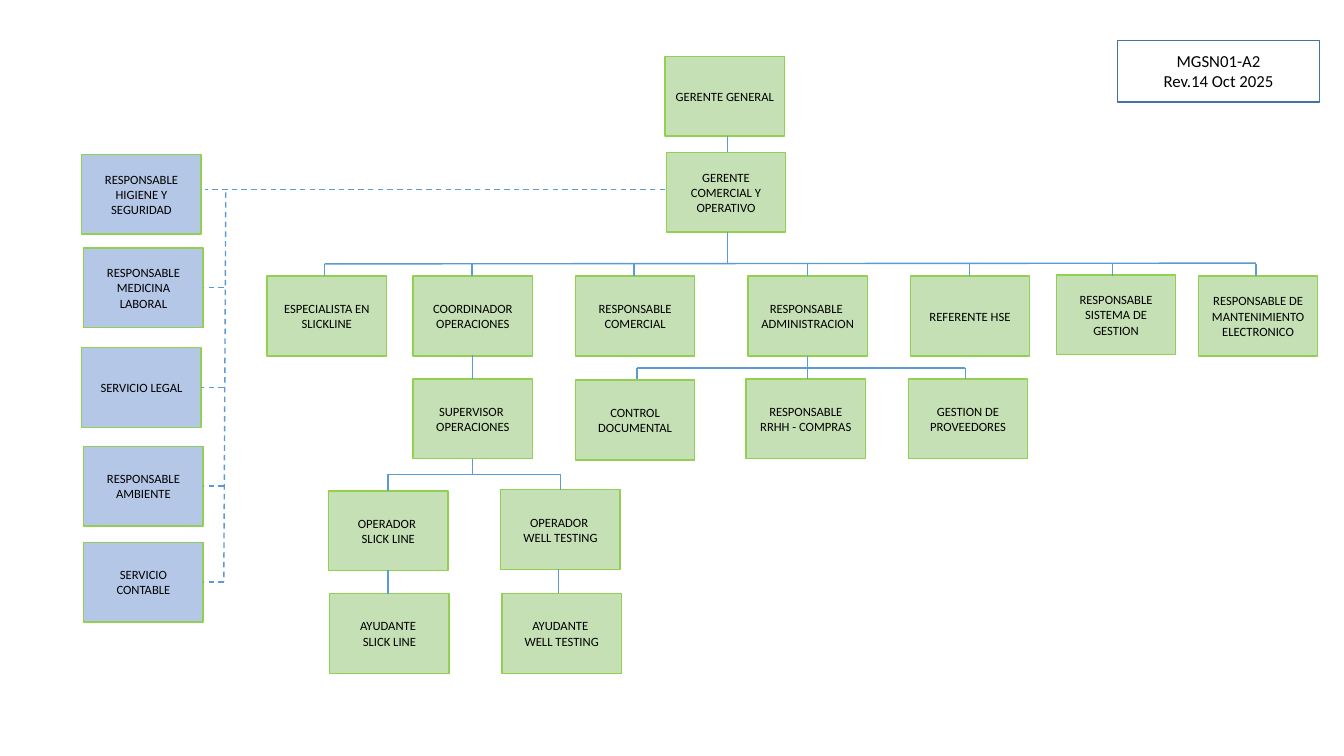
"""Build the organisation chart slide with its advisory services and revision box."""
from dataclasses import dataclass

from pptx import Presentation
from pptx.dml.color import RGBColor
from pptx.enum.dml import MSO_LINE
from pptx.enum.shapes import MSO_CONNECTOR, MSO_SHAPE
from pptx.enum.text import MSO_ANCHOR, PP_ALIGN
from pptx.oxml.ns import qn
from pptx.shapes.connector import Connector
from pptx.slide import Slide
from pptx.util import Cm, Pt
from lxml.etree import SubElement

STAFF_FILL, SERVICE_FILL = "C5E0B4", "B4C7E7"
ROLE_BORDER, REVISION_BORDER, LINK_COLOR = "92D050", "43739E", "5B9BD5"
ROLE_WIDTH, ROLE_HEIGHT = 3.01, 2.01
SERVICE_TRUNK_X = 5.64
MANAGER_BUS_Y, ADMIN_BUS_Y = 6.64, 9.27


@dataclass
class Box:
    text: str
    left: float
    top: float
    fill: str | None = STAFF_FILL
    border: str = ROLE_BORDER
    width: float = ROLE_WIDTH
    height: float = ROLE_HEIGHT
    size: int = 9


@dataclass
class Link:
    x1: float
    y1: float
    x2: float
    y2: float
    dashed: bool = False


REVISION = Box("MGSN01-A2\nRev.14 Oct 2025", 28.17, 1.02, None, REVISION_BORDER, 5.08, 1.55, 12)

STAFF = [
    Box("GERENTE GENERAL", 16.76, 1.42),
    Box("GERENTE COMERCIAL Y OPERATIVO", 16.79, 3.84),
    Box("ESPECIALISTA EN SLICKLINE", 6.73, 6.96),
    Box("COORDINADOR OPERACIONES", 10.41, 6.96),
    Box("RESPONSABLE COMERCIAL", 14.5, 6.96),
    Box("RESPONSABLE \nADMINISTRACION", 18.85, 6.96),
    Box("REFERENTE HSE", 22.94, 6.96),
    Box("RESPONSABLE SISTEMA DE GESTION", 26.62, 6.93),
    Box("RESPONSABLE DE MANTENIMIENTO ELECTRONICO", 30.2, 6.96),
    Box("SUPERVISOR \nOPERACIONES", 10.41, 9.55),
    Box("CONTROL DOCUMENTAL", 14.5, 9.58),
    Box("RESPONSABLE RRHH - COMPRAS", 18.8, 9.55),
    Box("GESTION DE PROVEEDORES", 22.89, 9.55),
    Box("OPERADOR \nSLICK LINE", 8.28, 12.37),
    Box("OPERADOR \nWELL TESTING", 12.62, 12.34),
    Box("AYUDANTE \nSLICK LINE", 8.31, 14.96),
    Box("AYUDANTE \nWELL TESTING", 12.65, 14.96),
]

HYGIENE = Box("RESPONSABLE HIGIENE Y SEGURIDAD", 2.06, 3.89, SERVICE_FILL)
BRANCH_SERVICES = [
    Box("RESPONSABLE MEDICINA LABORAL", 2.11, 6.25, SERVICE_FILL),
    Box("SERVICIO LEGAL", 2.06, 8.76, SERVICE_FILL),
    Box("RESPONSABLE AMBIENTE", 2.11, 11.25, SERVICE_FILL),
    Box("SERVICIO CONTABLE", 2.11, 13.67, SERVICE_FILL),
]

MANAGER_DROPS = [8.18, 11.89, 15.98, 20.35, 24.43, 28.04, 31.65]
ADMIN_DROPS = [16.05, 24.33]

LINKS = [
    Link(18.34, 3.43, 18.34, 3.82),
    Link(18.34, 5.84, 18.34, MANAGER_BUS_Y),
    Link(MANAGER_DROPS[-1], 6.63, MANAGER_DROPS[0], 6.65),
    *(Link(x, MANAGER_BUS_Y, x, 6.95) for x in MANAGER_DROPS),
    Link(20.35, 8.97, 20.35, 9.55),
    Link(ADMIN_DROPS[-1], ADMIN_BUS_Y, ADMIN_DROPS[0], ADMIN_BUS_Y),
    *(Link(x, ADMIN_BUS_Y, x, 9.56) for x in ADMIN_DROPS),
    Link(11.91, 8.95, 11.91, 9.56),
    Link(9.78, 14.37, 9.78, 14.96),
    Link(14.07, 14.34, 14.07, 14.95),
    Link(16.76, 4.78, 5.16, 4.78, True),
    Link(5.69, 4.85, SERVICE_TRUNK_X, 14.66, True),
    *(
        Link(SERVICE_TRUNK_X, service.top + 1, service.left + ROLE_WIDTH, service.top + 1, True)
        for service in BRANCH_SERVICES
    ),
]

OPERATOR_LINKS = [Link(11.91, 11.56, 14.12, 12.34), Link(11.91, 11.56, 9.78, 12.37)]


def color(value: str) -> RGBColor:
    """Turn a hex string into a colour."""
    return RGBColor.from_string(value)


def draw_box(slide: Slide, box: Box) -> None:
    """Draw one bordered rectangle with centred text."""
    rectangle = slide.shapes.add_shape(
        MSO_SHAPE.RECTANGLE, Cm(box.left), Cm(box.top), Cm(box.width), Cm(box.height)
    )
    rectangle.shadow.inherit = False
    if box.fill:
        rectangle.fill.solid()
        rectangle.fill.fore_color.rgb = color(box.fill)
    else:
        rectangle.fill.background()
    rectangle.line.color.rgb = color(box.border)
    rectangle.line.width = Pt(1)
    frame = rectangle.text_frame
    frame.word_wrap = True
    frame.vertical_anchor = MSO_ANCHOR.MIDDLE
    frame.text = box.text
    for paragraph in frame.paragraphs:
        paragraph.alignment = PP_ALIGN.CENTER
        paragraph.font.name = "Calibri"
        paragraph.font.size = Pt(box.size)
        paragraph.font.color.rgb = color("000000")


def draw_link(slide: Slide, link: Link, kind: MSO_CONNECTOR = MSO_CONNECTOR.STRAIGHT) -> Connector:
    """Draw one connector without a shadow."""
    connector = slide.shapes.add_connector(
        kind, Cm(link.x1), Cm(link.y1), Cm(link.x2), Cm(link.y2)
    )
    connector.line.color.rgb = color(LINK_COLOR)
    connector.line.width = Pt(1)
    if link.dashed:
        connector.line.dash_style = MSO_LINE.DASH
    SubElement(connector.element.spPr, qn("a:effectLst"))
    return connector


def draw_downward_elbow(slide: Slide, link: Link) -> None:
    """Draw an elbow that leaves and arrives vertically, as a rotated connector."""
    middle_x, middle_y = (link.x1 + link.x2) / 2, (link.y1 + link.y2) / 2
    half_span = abs(link.x2 - link.x1) / 2
    rightward = link.x2 > link.x1
    half_drop = (link.y2 - link.y1) / 2 * (-1 if rightward else 1)
    unrotated = Link(
        middle_x - half_drop, middle_y - half_span, middle_x + half_drop, middle_y + half_span
    )
    connector = draw_link(slide, unrotated, MSO_CONNECTOR.ELBOW)
    degrees = 270 if rightward else 90
    connector.element.spPr.find(qn("a:xfrm")).set("rot", str(degrees * 60000))


def main() -> None:
    """Create the presentation and save it."""
    presentation = Presentation()
    presentation.slide_width, presentation.slide_height = Cm(33.87), Cm(19.05)
    slide = presentation.slides.add_slide(presentation.slide_layouts[6])
    for box in [REVISION, *STAFF, HYGIENE, *BRANCH_SERVICES]:
        draw_box(slide, box)
    for link in LINKS:
        draw_link(slide, link)
    for link in OPERATOR_LINKS:
        draw_downward_elbow(slide, link)
    presentation.save("out.pptx")


if __name__ == "__main__":
    main()
